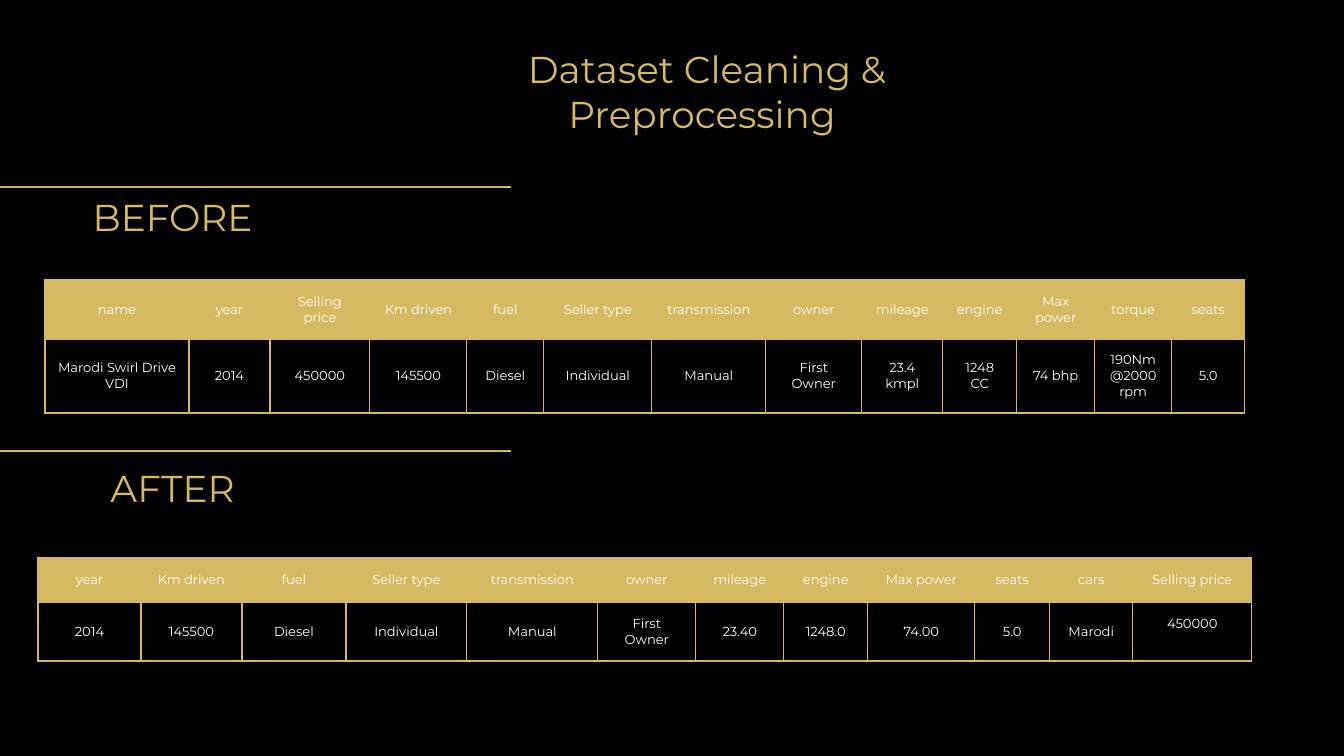
import pptx
import pptx.util
import pptx.dml.color
import pptx.enum.shapes
import pptx.enum.text
import pptx.oxml
import pptx.oxml.ns

GOLD = pptx.dml.color.RGBColor(0xD5, 0xB9, 0x61)
WHITE = pptx.dml.color.RGBColor(0xFF, 0xFF, 0xFF)
BLACK = pptx.dml.color.RGBColor(0, 0, 0)
FONT = "Montserrat"
INSET = 13
RULE = 0.75
SIDES = ("a:lnL", "a:lnR", "a:lnT", "a:lnB")

HEADS = [
    ("Dataset Cleaning & Preprocessing ", (465, 74, 484, 75)),
    ("BEFORE ", (39, 177, 277, 75)),
    ("AFTER ", (39, 448, 277, 75)),
]
RULES = [187, 451]
REACH = 511

BEFORE = [
    ("name", "Marodi Swirl Drive VDI", 144),
    ("year", "2014", 81),
    ("Selling price", "450000", 100),
    ("Km driven", "145500", 97),
    ("fuel", "Diesel", 77),
    ("Seller type", "Individual", 108),
    ("transmission", "Manual", 114),
    ("owner", "First Owner", 96),
    ("mileage", "23.4 kmpl", 81),
    ("engine", "1248 CC", 74),
    ("Max power", "74 bhp", 78),
    ("torque", "190Nm@2000rpm", 77),
    ("seats", "5.0", 73),
]
AFTER = [
    ("year", "2014", 103),
    ("Km driven", "145500", 101),
    ("fuel", "Diesel", 104),
    ("Seller type", "Individual", 121),
    ("transmission", "Manual", 131),
    ("owner", "First Owner", 98),
    ("mileage", "23.40", 88),
    ("engine", "1248.0", 84),
    ("Max power", "74.00", 107),
    ("seats", "5.0", 75),
    ("cars", "Marodi", 83),
    ("Selling price", "450000", 119),
]
TABLES = [(BEFORE, 45, 280, (59, 74)), (AFTER, 38, 558, (44, 59))]


def px(n):
    return round(n * 914400 / 134.4)


def write(frame, text, size, color):
    para = frame.paragraphs[0]
    para.alignment = pptx.enum.text.PP_ALIGN.CENTER
    run = para.add_run()
    run.text = text
    run.font.name = FONT
    run.font.size = pptx.util.Pt(size)
    run.font.color.rgb = color


def inset(item):
    item.margin_left = item.margin_right = px(INSET)
    item.margin_top = item.margin_bottom = px(INSET)


def head(slide, text, box):
    frame = slide.shapes.add_textbox(*map(px, box)).text_frame
    frame.word_wrap = True
    frame.vertical_anchor = pptx.enum.text.MSO_ANCHOR.BOTTOM
    inset(frame)
    write(frame, text, 20, GOLD)


def rule(slide, y):
    line = slide.shapes.add_connector(
        pptx.enum.shapes.MSO_CONNECTOR.STRAIGHT, 0, px(y), px(REACH), px(y))
    line.line.color.rgb = GOLD
    line.line.width = pptx.util.Pt(RULE)
    props = line._element.spPr
    props.append(pptx.oxml.parse_xml(
        f'<a:effectLst {pptx.oxml.ns.nsdecls("a")}/>'))


def border(cell):
    props = cell._tc.get_or_add_tcPr()
    for spot, side in enumerate(SIDES):
        props.insert(spot, pptx.oxml.parse_xml(
            f'<{side} {pptx.oxml.ns.nsdecls("a")} w="{pptx.util.Pt(RULE)}">'
            f'<a:solidFill><a:srgbClr val="{GOLD}"/></a:solidFill></{side}>'))


def grid(slide, cols, x, y, rows):
    wide = sum(col[-1] for col in cols)
    table = slide.shapes.add_table(
        len(rows), len(cols), px(x), px(y), px(wide), px(sum(rows))).table
    for r, high in enumerate(rows):
        table.rows[r].height = px(high)
    for c, (*texts, width) in enumerate(cols):
        table.columns[c].width = px(width)
        for r, text in enumerate(texts):
            cell = table.cell(r, c)
            cell.vertical_anchor = pptx.enum.text.MSO_ANCHOR.MIDDLE
            inset(cell)
            if r == 0:
                cell.fill.solid()
                cell.fill.fore_color.rgb = GOLD
            else:
                cell.fill.background()
            border(cell)
            write(cell.text_frame, text, 7, WHITE)
    return table


def main():
    deck = pptx.Presentation()
    deck.slide_width, deck.slide_height = px(1344), px(756)
    slide = deck.slides.add_slide(deck.slide_layouts[6])
    slide.background.fill.solid()
    slide.background.fill.fore_color.rgb = BLACK
    for y in RULES:
        rule(slide, y)
    for spec in TABLES:
        table = grid(slide, *spec)
    table.cell(1, len(AFTER) - 1).margin_bottom = px(INSET + 16)
    for text, box in HEADS:
        head(slide, text, box)
    deck.save("out.pptx")


if __name__ == "__main__":
    main()
